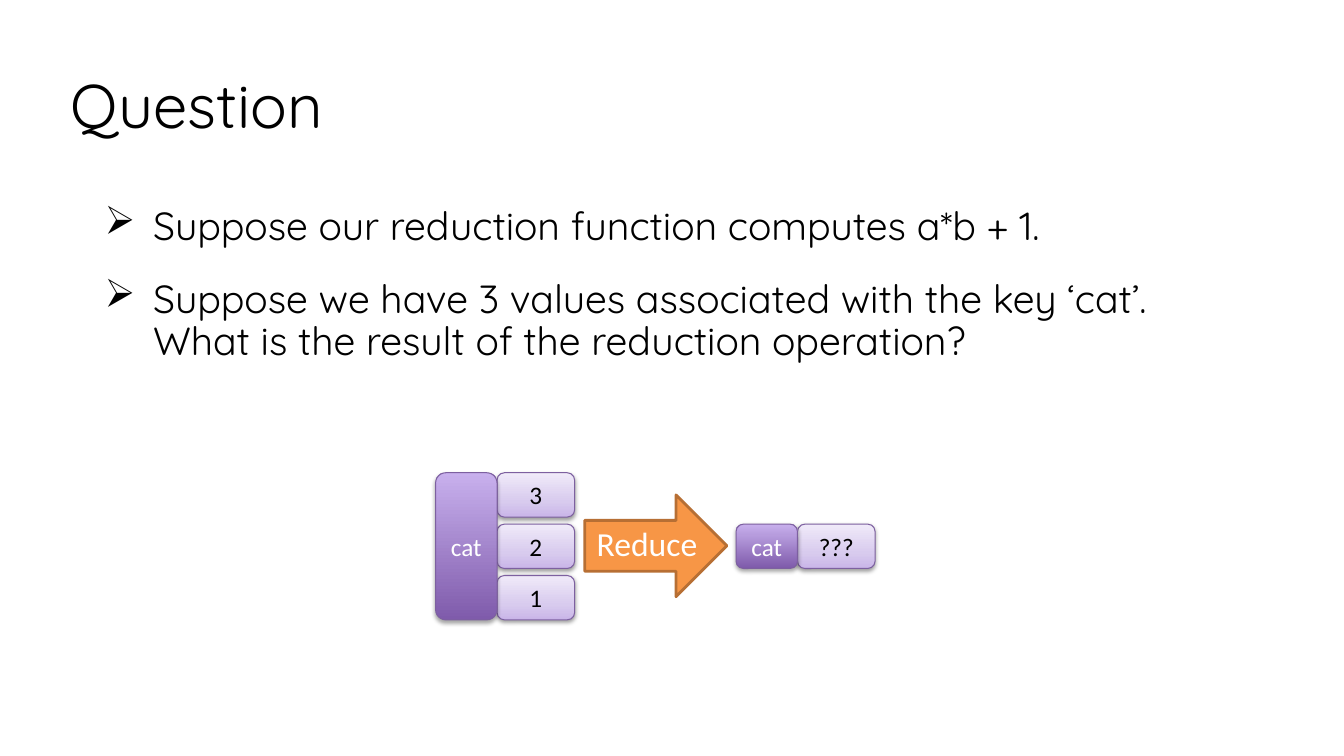
from lxml.etree import SubElement
from pptx import Presentation
from pptx.dml.color import RGBColor as RGB
from pptx.enum.shapes import MSO_SHAPE as SHAPE
from pptx.enum.text import MSO_ANCHOR as ANCHOR, PP_ALIGN as ALIGN
from pptx.oxml.ns import qn
from pptx.util import Inches, Pt

HEX = {"black": "000000", "white": "FFFFFF", "orange": "F79646",
       "rust": "B76F34", "edge": "7D60A0"}
KEY = {"stops": [(0, "7F5BAB"), (100, "C8B0ED")],
       "color": "white", "alpha": 35, "drop": 1.8}
VALUE = {"stops": [(0, "C9B5E8"), (35, "D8CBEE"), (100, "F0EAF9")],
         "color": "black", "alpha": 38, "drop": 1.6}
KEY_W, VALUE_W, CELL_H, STEP = 0.61, 0.77, 0.44, 0.51


def place(shape, box):
    shape.left, shape.top, shape.width, shape.height = map(Inches, box)


def write(shape, *texts, size=18, font="Calibri", color="black", align=ALIGN.LEFT,
          anchor=ANCHOR.MIDDLE, pad=(0.1, 0.05, 0.1, 0.05), line=None, gap=0, bullet=None):
    frame = shape.text_frame
    frame.word_wrap = True
    frame.vertical_anchor = anchor
    (frame.margin_left, frame.margin_top,
     frame.margin_right, frame.margin_bottom) = map(Inches, pad)
    for n, text in enumerate(texts):
        para = frame.add_paragraph() if n else frame.paragraphs[0]
        para.text = text
        para.alignment = align
        if line:
            para.line_spacing = line
        para.space_before = Pt(gap if n else 0)
        if bullet:
            props = para._p.get_or_add_pPr()
            props.set("marL", str(Inches(0.5)))
            props.set("indent", str(Inches(-0.48)))
            SubElement(props, qn("a:buChar"), char=bullet)
        para.font.size = Pt(size)
        para.font.name = font
        para.font.color.rgb = RGB.from_string(HEX[color])


def block(slide, kind, box, edge, width):
    shape = slide.shapes.add_shape(kind, *map(Inches, box))
    shape.shadow.inherit = False
    shape.line.color.rgb = RGB.from_string(HEX[edge])
    shape.line.width = Pt(width)
    return shape


def shade(shape, stops):
    shape.fill.gradient()
    shape.fill.gradient_angle = 90
    ramp = shape._element.spPr.find(".//" + qn("a:gsLst"))
    ramp.clear()
    for pos, color in stops:
        stop = SubElement(ramp, qn("a:gs"), pos=str(pos * 1000))
        SubElement(stop, qn("a:srgbClr"), val=color)


def cast(shape, alpha, drop):
    effects = shape._element.spPr.find(qn("a:effectLst"))
    shadow = SubElement(effects, qn("a:outerShdw"), blurRad=str(Pt(3.1)),
                        dist=str(Pt(drop)), dir="5400000", rotWithShape="0")
    color = SubElement(shadow, qn("a:srgbClr"), val=HEX["black"])
    SubElement(color, qn("a:alpha"), val=str(alpha * 1000))


def cell(slide, text, box, style):
    shape = block(slide, SHAPE.ROUNDED_RECTANGLE, box, "edge", 0.75)
    shade(shape, style["stops"])
    cast(shape, style["alpha"], style["drop"])
    write(shape, text, color=style["color"], align=ALIGN.CENTER, pad=(0, 0.05, 0, 0.05))


def record(slide, key, values, left, top):
    for n, value in enumerate(values):
        cell(slide, value, (left + KEY_W, top + n * STEP, VALUE_W, CELL_H), VALUE)
    tall = (len(values) - 1) * STEP + CELL_H
    cell(slide, key, (left, top, KEY_W, tall), KEY)


def arrow(slide, text, box):
    shape = block(slide, SHAPE.RIGHT_ARROW, box, "rust", 2)
    shape.fill.solid()
    shape.fill.fore_color.rgb = RGB.from_string(HEX["orange"])
    write(shape, text, size=24, color="white", align=ALIGN.CENTER, pad=(0, 0, 0, 0.05))


def main():
    deck = Presentation()
    deck.slide_width, deck.slide_height = Inches(13.33), Inches(7.5)
    slide = deck.slides.add_slide(deck.slide_layouts[5])
    title = slide.shapes.title
    place(title, (0.6, 0.35, 11.81, 1.45))
    write(title, "Question", size=44, font="Quicksand", line=0.9)
    body = slide.shapes.add_textbox(*map(Inches, (0.92, 2, 11.5, 4.76)))
    write(body, "Suppose our reduction function computes a*b + 1.",
          "Suppose we have 3 values associated with the key ‘cat’. "
          "What is the result of the reduction operation?",
          size=28, font="Quicksand", anchor=ANCHOR.TOP, line=0.9, gap=22, bullet="➢")
    arrow(slide, " Reduce", (5.8, 4.91, 1.41, 1.01))
    record(slide, "cat", ["3", "2", "1"], 4.32, 4.69)
    record(slide, "cat", ["???"], 7.3, 4.69 + STEP)
    deck.save("out.pptx")


if __name__ == "__main__":
    main()
